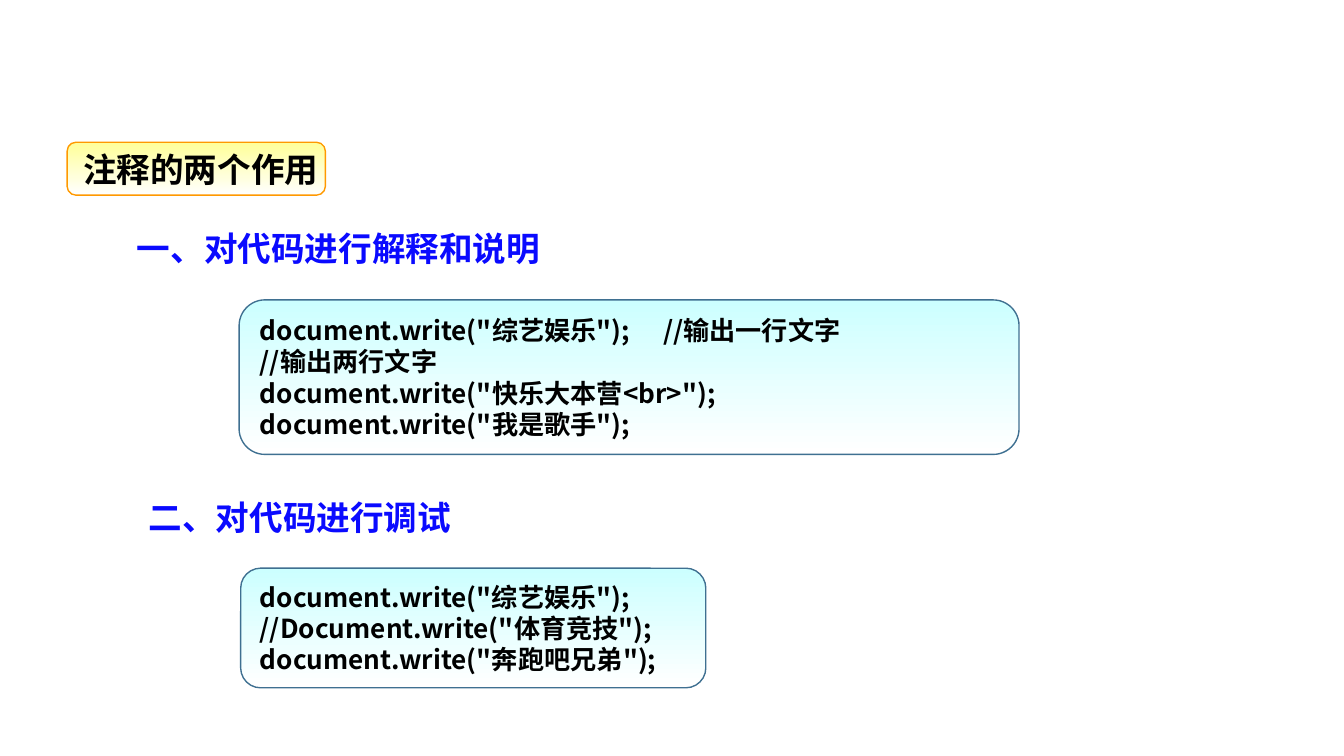
from lxml.etree import SubElement
from pptx import Presentation
from pptx.dml.color import RGBColor
from pptx.enum.shapes import MSO_SHAPE
from pptx.enum.text import MSO_ANCHOR, MSO_AUTO_SIZE as AutoSize, PP_ALIGN
from pptx.oxml.ns import qn
from pptx.util import Cm, Pt

FONT = "Noto Sans CJK JP"
TAB_STEP = 2.54
TAB_COUNT = 8

EXPLAIN_CODE = """document.write("综艺娱乐");\t//输出一行文字
//输出两行文字
document.write("快乐大本营<br>");
document.write("我是歌手");"""
DEBUG_CODE = """document.write("综艺娱乐");
//Document.write("体育竞技");
document.write("奔跑吧兄弟");"""


def color(hex_code):
    return RGBColor.from_string(hex_code)


def add_tab_stops(paragraph):
    tab_list = SubElement(paragraph._p.get_or_add_pPr(), qn("a:tabLst"))
    for index in range(TAB_COUNT):
        SubElement(tab_list, qn("a:tab"), pos=str(Cm(index * TAB_STEP)), algn="l")


def write_text(shape, text, size, hex_code, align=PP_ALIGN.LEFT,
               anchor=MSO_ANCHOR.TOP, fit=AutoSize.SHAPE_TO_FIT_TEXT):
    frame = shape.text_frame
    frame.text = text
    frame.word_wrap = True
    frame.auto_size = fit
    frame.vertical_anchor = anchor
    frame.margin_left = frame.margin_right = Cm(0.25)
    frame.margin_top = frame.margin_bottom = Cm(0.13)
    for paragraph in frame.paragraphs:
        paragraph.alignment = align
        add_tab_stops(paragraph)
        for run in paragraph.runs:
            run.font.size = Pt(size)
            run.font.bold = True
            run.font.name = FONT
            run.font.color.rgb = color(hex_code)
            # Chinese characters take their font from a:ea
            SubElement(run._r.get_or_add_rPr(), qn("a:ea"), typeface=FONT)


def add_gradient_panel(slide, left, top, width, height, top_color, border):
    panel = slide.shapes.add_shape(
        MSO_SHAPE.ROUNDED_RECTANGLE, Cm(left), Cm(top), Cm(width), Cm(height))
    panel.shadow.inherit = False
    panel.fill.gradient()
    panel.fill.gradient_angle = 270
    for stop, hex_code in zip(panel.fill.gradient_stops, (top_color, "FFFFFF")):
        stop.color.rgb = color(hex_code)
    panel.line.color.rgb = color(border)
    panel.line.width = Pt(0.75)
    return panel


def add_code(slide, left, top, width, height, code):
    panel = add_gradient_panel(slide, left, top, width, height, "CCFFFF", "3F7091")
    write_text(panel, code, 14, "000000")


def add_heading(slide, left, top, text):
    heading = slide.shapes.add_textbox(Cm(left), Cm(top), Cm(8.26), Cm(1.02))
    write_text(heading, text, 18, "0A0AFF", align=PP_ALIGN.JUSTIFY)


def add_title(slide, left, top, width, height, text):
    """Draw the yellow badge and lay the slide title over it."""
    add_gradient_panel(slide, left, top, width, height, "FFFF99", "FF9900")
    title = slide.shapes.title
    # The title is wider than its badge so that it stays on one line
    title.left, title.top = Cm(left + 0.05), Cm(top)
    title.width, title.height = Cm(width + 0.5), Cm(height)
    write_text(title, text, 18, "000000", anchor=MSO_ANCHOR.MIDDLE, fit=AutoSize.NONE)
    # Bring the title in front of its badge
    slide.shapes._spTree.append(title._element)


def main():
    deck = Presentation()
    deck.slide_width, deck.slide_height = Cm(25.4), Cm(14.29)
    slide = deck.slides.add_slide(deck.slide_layouts.get_by_name("Title Only"))

    add_title(slide, 1.27, 2.69, 4.88, 1, "注释的两个作用")
    add_heading(slide, 2.34, 4.18, "一、对代码进行解释和说明")
    add_code(slide, 4.52, 5.67, 14.74, 2.92, EXPLAIN_CODE)
    add_heading(slide, 2.56, 9.27, "二、对代码进行调试")
    add_code(slide, 4.55, 10.74, 8.79, 2.26, DEBUG_CODE)

    deck.save("out.pptx")


if __name__ == "__main__":
    main()
